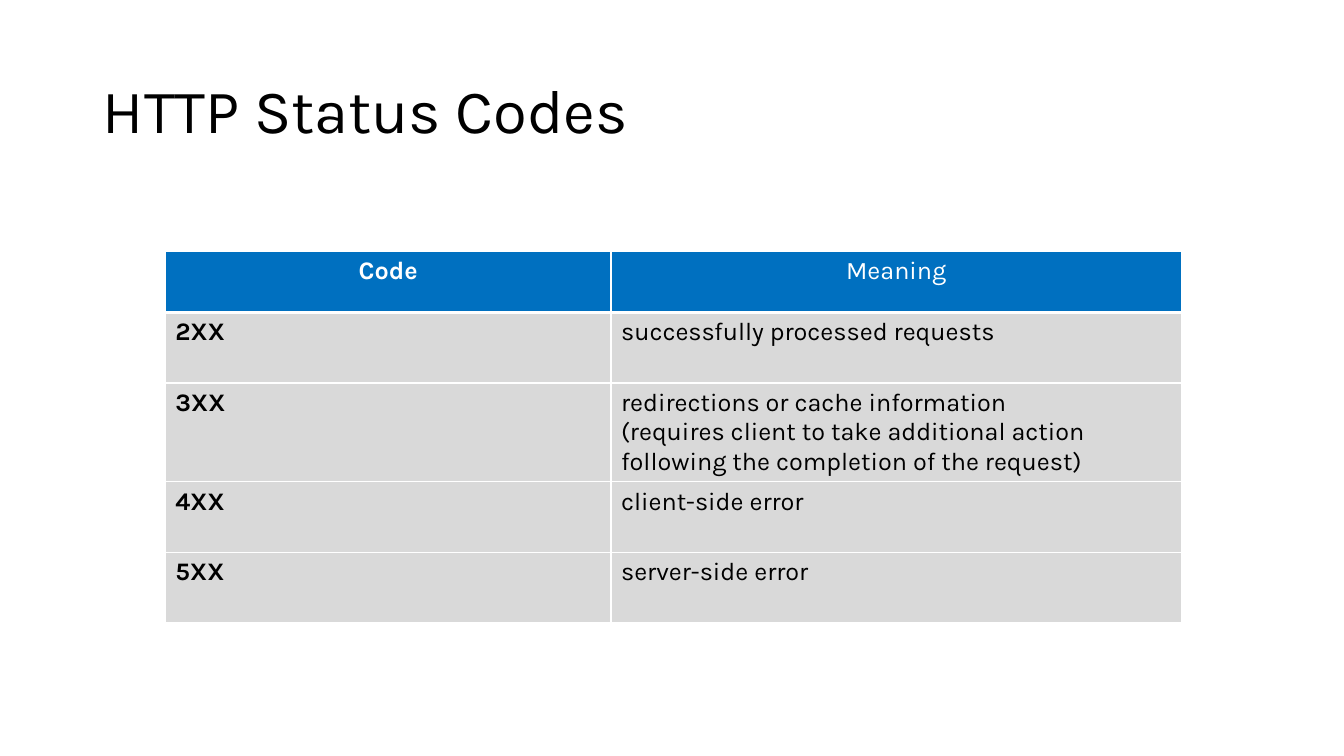
import pptx
import pptx.util
import pptx.dml.color
import pptx.enum.text
import pptx.oxml.ns
import lxml.etree

HEADING = "HTTP Status Codes"
STATUS_CODES = [
    ("Code", ["Meaning"]),
    ("2XX", ["successfully processed requests"]),
    ("3XX", [
        "redirections or cache information",
        "(requires client to take additional action following the completion of the request)",
    ]),
    ("4XX", ["client-side error"]),
    ("5XX", ["server-side error"]),
]

FONT = "Karla"
BLACK, WHITE, BLUE, GREY = "000000", "FFFFFF", "0070C0", "D9D9D9"
SLIDE_WIDTH, SLIDE_HEIGHT = 13.33, 7.5
COLUMN_WIDTHS = (4.42, 5.66)
HEADER_HEIGHT, ROW_HEIGHT = 0.61, 0.7
TABLE_LEFT, TABLE_TOP = 1.64, 2.49
THIN, THICK = 1, 3

ALIGN = pptx.enum.text.PP_ALIGN
inches = pptx.util.Inches


def colour(hex_string):
    return pptx.dml.color.RGBColor.from_string(hex_string)


def write(frame, lines, size=18, ink=BLACK, bold=False, align=ALIGN.LEFT, spacing=1.0):
    for index, line in enumerate(lines):
        paragraph = frame.paragraphs[0] if index == 0 else frame.add_paragraph()
        paragraph.alignment = align
        paragraph.line_spacing = spacing
        run = paragraph.add_run()
        run.text = line
        run.font.name = FONT
        run.font.size = pptx.util.Pt(size)
        run.font.bold = bold
        run.font.color.rgb = colour(ink)


def add_borders(cell, **widths):
    properties = cell._tc.get_or_add_tcPr()
    qn = pptx.oxml.ns.qn
    for side, width in widths.items():
        border = lxml.etree.SubElement(properties, qn(f"a:ln{side}"), w=str(pptx.util.Pt(width)))
        fill = lxml.etree.SubElement(border, qn("a:solidFill"))
        lxml.etree.SubElement(fill, qn("a:srgbClr"), val=WHITE)


def add_heading(slide):
    title = slide.shapes.title
    title.left, title.top = inches(0.92), inches(0.4)
    title.width, title.height = inches(11.5), inches(1.45)
    title.text_frame.word_wrap = True
    title.text_frame.vertical_anchor = pptx.enum.text.MSO_ANCHOR.MIDDLE
    write(title.text_frame, [HEADING], size=44, align=ALIGN.LEFT, spacing=0.9)


def add_status_table(slide):
    row_heights = [HEADER_HEIGHT] + [ROW_HEIGHT] * (len(STATUS_CODES) - 1)
    table = slide.shapes.add_table(
        len(STATUS_CODES), len(COLUMN_WIDTHS), inches(TABLE_LEFT), inches(TABLE_TOP),
        inches(sum(COLUMN_WIDTHS)), inches(sum(row_heights))).table
    for column, width in zip(table.columns, COLUMN_WIDTHS):
        column.width = inches(width)
    for row, (code, meaning) in enumerate(STATUS_CODES):
        table.rows[row].height = inches(row_heights[row])
        header = row == 0
        for column, lines in enumerate(([code], meaning)):
            cell = table.cell(row, column)
            add_borders(cell, L=THIN, R=THIN, T=THICK if row == 1 else THIN,
                        B=THICK if header else THIN)
            cell.fill.solid()
            cell.fill.fore_color.rgb = colour(BLUE if header else GREY)
            write(cell.text_frame, lines, ink=WHITE if header else BLACK,
                  bold=column == 0, align=ALIGN.CENTER if header else ALIGN.LEFT)


def main():
    deck = pptx.Presentation()
    deck.slide_width, deck.slide_height = inches(SLIDE_WIDTH), inches(SLIDE_HEIGHT)
    slide = deck.slides.add_slide(deck.slide_layouts[5])
    add_heading(slide)
    add_status_table(slide)
    deck.save("out.pptx")


if __name__ == "__main__":
    main()
